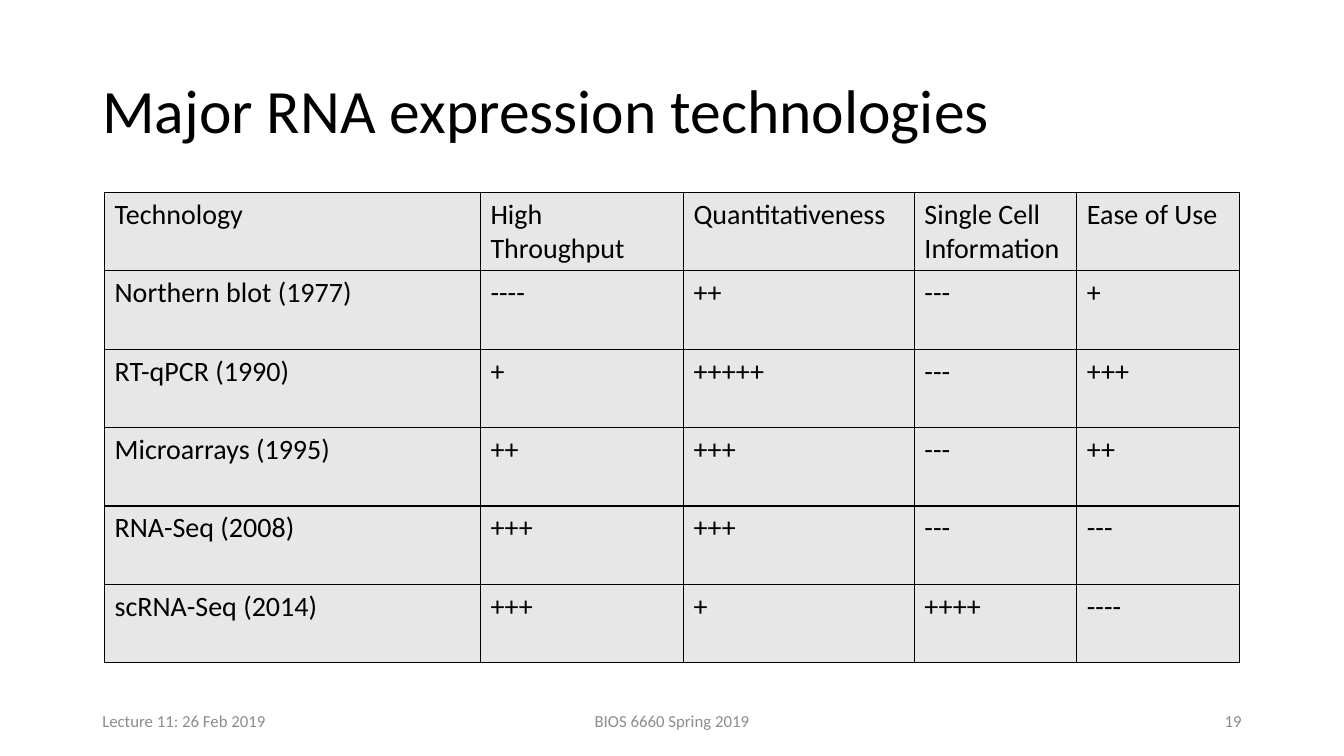
from lxml.etree import SubElement
from pptx import Presentation
from pptx.dml.color import RGBColor
from pptx.enum.text import MSO_ANCHOR, PP_ALIGN
from pptx.oxml.ns import qn
from pptx.util import Pt

BLACK, GREY, CELL_GREY = "000000", "8C8C8C", "E7E7E7"


def style(paragraph, size, color):
    paragraph.font.name = "Calibri"
    paragraph.font.size = Pt(size)
    paragraph.font.color.rgb = RGBColor.from_string(color)


def add_text(text, left, top, width, height, size, color, align=PP_ALIGN.LEFT):
    frame = slide.shapes.add_textbox(Pt(left), Pt(top), Pt(width), Pt(height)).text_frame
    frame.word_wrap = True
    frame.vertical_anchor = MSO_ANCHOR.MIDDLE
    paragraph = frame.paragraphs[0]
    paragraph.text = text
    paragraph.alignment = align
    style(paragraph, size, color)
    return paragraph


deck = Presentation()
deck.slide_width, deck.slide_height = Pt(960), Pt(540)
slide = deck.slides.add_slide(deck.slide_layouts[6])

title = add_text("Major RNA expression technologies", 66, 28.75, 828, 104.4, 44, BLACK)
title.line_spacing = 0.9

ratings = [
    ["Technology", "High Throughput", "Quantitativeness", "Single Cell Information", "Ease of Use"],
    ["Northern blot (1977)", "----", "++", "---", "+"],
    ["RT-qPCR (1990)", "+", "+++++", "---", "+++"],
    ["Microarrays (1995)", "++", "+++", "---", "++"],
    ["RNA-Seq (2008)", "+++", "+++", "---", "---"],
    ["scRNA-Seq (2014)", "+++", "+", "++++", "----"],
]
column_widths = [268.5, 145, 165, 116, 116]
row_height = 56

table = slide.shapes.add_table(
    len(ratings), len(column_widths), Pt(74.7), Pt(137.5),
    Pt(sum(column_widths)), Pt(row_height * len(ratings))).table
table.first_row = table.horz_banding = False
for column, width in zip(table.columns, column_widths):
    column.width = Pt(width)

for row, row_texts in zip(table.rows, ratings):
    row.height = Pt(row_height)
    for cell, text in zip(row.cells, row_texts):
        cell.text = text
        style(cell.text_frame.paragraphs[0], 20, BLACK)
        properties = cell._tc.get_or_add_tcPr()
        for side in ("a:lnL", "a:lnR", "a:lnT", "a:lnB"):
            border = SubElement(properties, qn(side), w=str(Pt(1)))
            SubElement(SubElement(border, qn("a:solidFill")), qn("a:srgbClr"), val=BLACK)
        cell.fill.solid()
        cell.fill.fore_color.rgb = RGBColor.from_string(CELL_GREY)

footers = [
    ("Lecture 11: 26 Feb 2019", 66, 216, PP_ALIGN.LEFT),
    ("BIOS 6660 Spring 2019", 318, 324, PP_ALIGN.CENTER),
    ("19", 678, 216, PP_ALIGN.RIGHT),
]
for text, left, width, align in footers:
    add_text(text, left, 500.5, width, 28.75, 12, GREY, align)

deck.save("out.pptx")
